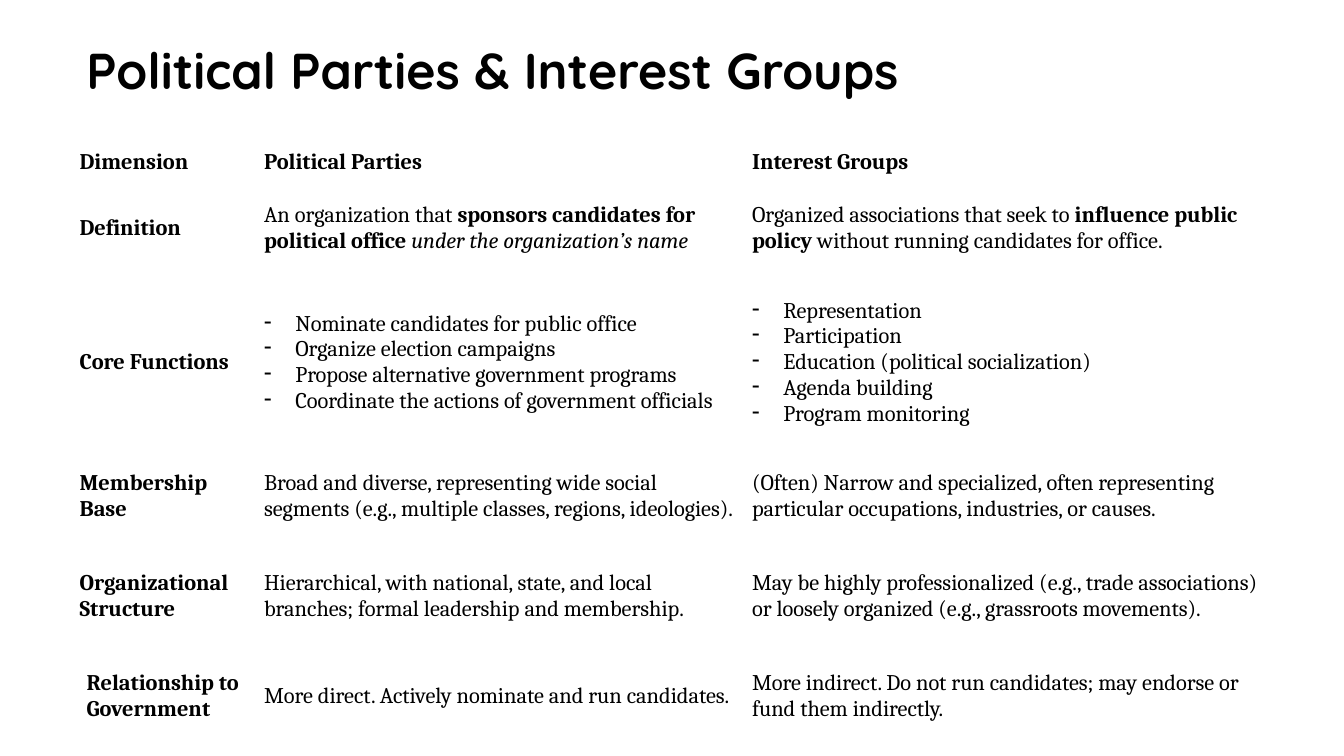
from dataclasses import dataclass

from lxml import etree
from pptx import Presentation
from pptx import util as u
from pptx.dml.color import RGBColor
from pptx.enum import text
from pptx.oxml.ns import qn


@dataclass(frozen=True)
class Theme:
    ink: RGBColor = RGBColor(0, 0, 0)
    paper: RGBColor = RGBColor(255, 255, 255)
    head: str = "Quicksand"
    body: str = "Cambria"
    big: int = 36
    small: int = 16


THEME = Theme()
TITLE = "Political Parties & Interest Groups"
COLS = (183, 484, 515)
TALL = (32, 99, 167, 99, 99, 99)
PAD = (3, 2, 3, 2)
WIDE = (10, 5, 10, 5)
DENT = 31

# A cell is a string, a list of (words, style) runs, or a tuple of bullets.
ROWS = (
    ("Dimension", "Political Parties", "Interest Groups"),
    ("Definition",
     [("An organization that ", ""),
      ("sponsors candidates for political office ", "b"),
      ("under the organization’s name", "i")],
     [("Organized associations that seek to ", ""),
      ("influence public policy", "b"),
      (" without running candidates for office.", "")]),
    ("Core Functions",
     ("Nominate candidates for public office",
      "Organize election campaigns",
      "Propose alternative government programs",
      "Coordinate the actions of government officials"),
     ("Representation",
      "Participation",
      "Education (political socialization)",
      "Agenda building",
      "Program monitoring")),
    ("Membership Base",
     "Broad and diverse, representing wide social segments "
     "(e.g., multiple classes, regions, ideologies).",
     "(Often) Narrow and specialized, often representing "
     "particular occupations, industries, or causes."),
    ("Organizational Structure",
     "Hierarchical, with national, state, and local branches; "
     "formal leadership and membership.",
     "May be highly professionalized (e.g., trade associations) "
     "or loosely organized (e.g., grassroots movements)."),
    ("Relationship to Government",
     "More direct. Actively nominate and run candidates.",
     "More indirect. Do not run candidates; may endorse or fund them indirectly."),
)


def px(n):
    """Turn px, 100 to the inch, into EMU."""
    return u.Emu(n * 9144)


def add_run(para, words, font, size, style=""):
    run = para.add_run()
    run.text = words
    run.font.name = font
    run.font.size = u.Pt(size)
    run.font.bold = "b" in style
    run.font.italic = "i" in style
    run.font.color.rgb = THEME.ink


def add_dash(para):
    """Give the paragraph a hanging dash bullet."""
    props = para._p.get_or_add_pPr()
    props.set("marL", str(px(DENT)))
    props.set("indent", str(-px(DENT)))
    etree.SubElement(props, qn("a:buChar")).set("char", "-")


def fill_cell(cell, item, style, pad):
    cell.fill.background()
    cell.vertical_anchor = text.MSO_ANCHOR.MIDDLE
    (cell.margin_left, cell.margin_top,
     cell.margin_right, cell.margin_bottom) = map(px, pad)
    frame = cell.text_frame
    listed = isinstance(item, tuple)
    for i, line in enumerate(item if listed else (item,)):
        para = frame.add_paragraph() if i else frame.paragraphs[0]
        if listed:
            add_dash(para)
        runs = line if isinstance(line, list) else [(line, style)]
        for words, look in runs:
            add_run(para, words, THEME.body, THEME.small, look)


def add_title(slide, x, y, w, h):
    frame = slide.shapes.add_textbox(px(x), px(y), px(w), px(h)).text_frame
    frame.word_wrap = True
    frame.vertical_anchor = text.MSO_ANCHOR.MIDDLE
    para = frame.paragraphs[0]
    para.line_spacing = 0.9
    add_run(para, TITLE, THEME.head, THEME.big, "b")


def add_grid(slide, x, y, w, h):
    table = slide.shapes.add_table(
        len(ROWS), len(COLS), px(x), px(y), px(w), px(h)).table
    table.first_row = table.horz_banding = False
    for col, wide in zip(table.columns, COLS):
        col.width = px(wide)
    last = len(ROWS) - 1
    for r, (items, tall) in enumerate(zip(ROWS, TALL)):
        table.rows[r].height = px(tall)
        for c, item in enumerate(items):
            style = "b" if r == 0 or c == 0 else ""
            pad = WIDE if (r, c) == (last, 0) else PAD
            fill_cell(table.cell(r, c), item, style, pad)


def main():
    deck = Presentation()
    deck.slide_width, deck.slide_height = px(1333), px(750)
    slide = deck.slides.add_slide(deck.slide_layouts[6])
    back = slide.background.fill
    back.solid()
    back.fore_color.rgb = THEME.paper
    add_title(slide, 76, 0, 1150, 145)
    add_grid(slide, 76, 145, sum(COLS), sum(TALL))
    deck.save("out.pptx")


if __name__ == "__main__":
    main()
